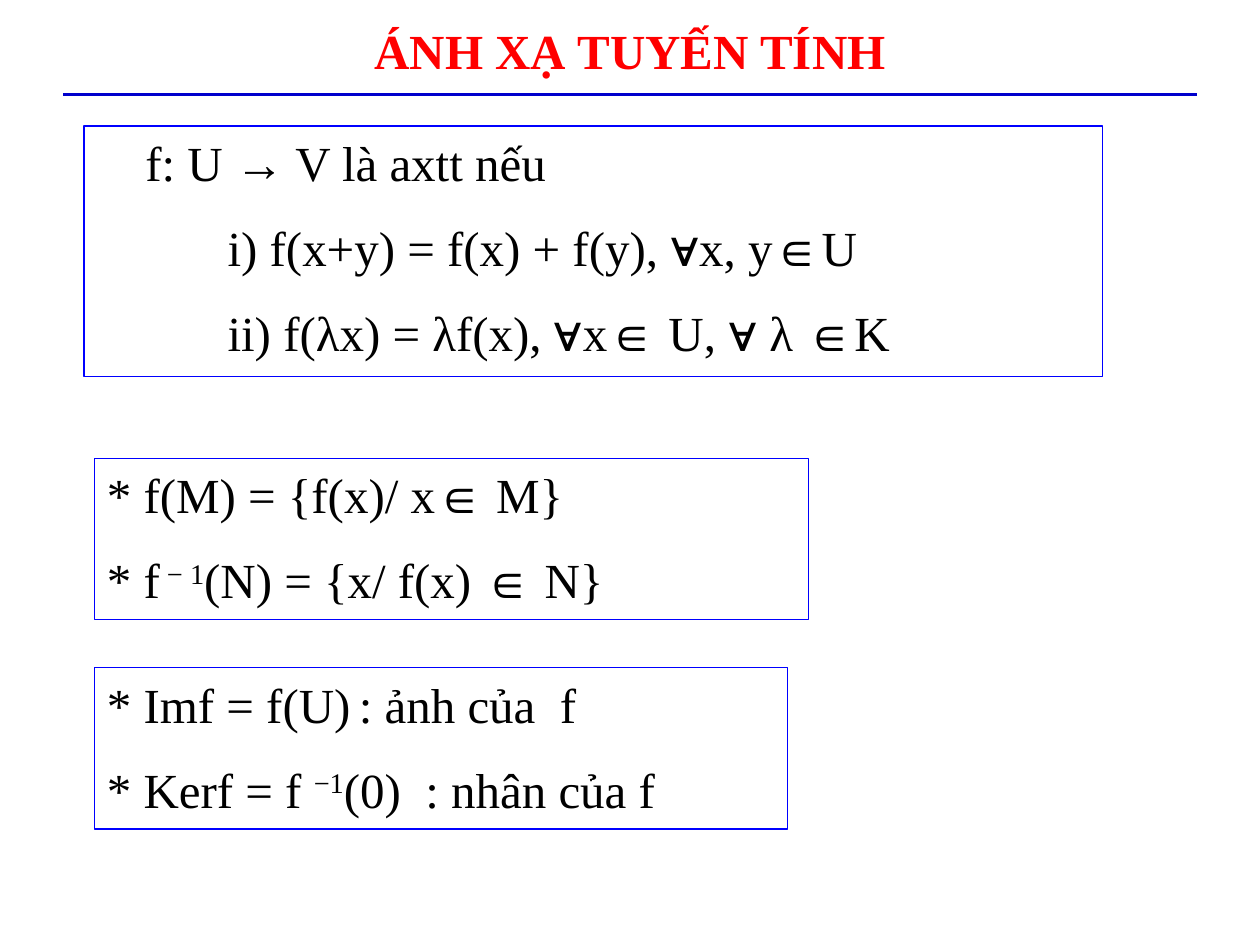
from dataclasses import dataclass

from lxml.etree import SubElement
from pptx import Presentation
from pptx.dml.color import RGBColor
from pptx.enum.shapes import MSO_CONNECTOR, MSO_SHAPE
from pptx.enum.text import MSO_ANCHOR, PP_ALIGN
from pptx.oxml.ns import qn
from pptx.slide import Slide
from pptx.text.text import Font, _Paragraph as Paragraph
from pptx.util import Pt

FACE = "Times New Roman"
TEXT_SIZE = 28
LINE_GAP = 15


@dataclass(frozen=True)
class Line:
    """One formula line; text between ^ marks is superscript."""
    text: str
    indent: float = 0
    tab: float = 0


@dataclass(frozen=True)
class Box:
    left: float
    top: float
    width: float
    height: float
    lines: tuple[Line, ...]


BOXES = (
    Box(48, 72, 582, 143.2, (
        Line("f: U → V là axtt nếu", indent=28),
        Line("i) f(x+y) = f(x) + f(y), ∀x, y∈U", indent=75),
        Line("ii) f(λx) = λf(x), ∀x∈ U, ∀ λ ∈K", indent=75),
    )),
    Box(54, 262, 408, 92.2, (
        Line("* f(M) = {f(x)/ x∈ M}"),
        Line("* f^ − 1^(N) = {x/ f(x) ∈ N}"),
    )),
    Box(54, 381.6, 396, 92.2, (
        Line("* Imf = f(U)\t: ảnh của  f", tab=174),
        Line("* Kerf = f ^−1^(0)  : nhân của f"),
    )),
)


def color(hex_value: str) -> RGBColor:
    return RGBColor.from_string(hex_value)


def style_font(font: Font, hex_value: str, bold: bool = False) -> None:
    font.name = FACE
    font.size = Pt(TEXT_SIZE)
    font.bold = bold
    font.color.rgb = color(hex_value)


def add_title(slide: Slide, text: str) -> None:
    title = slide.shapes.add_textbox(Pt(36), Pt(6), Pt(648), Pt(44.6))
    frame = title.text_frame
    frame.word_wrap = True
    frame.vertical_anchor = MSO_ANCHOR.MIDDLE
    heading = frame.paragraphs[0]
    heading.text = text
    heading.alignment = PP_ALIGN.CENTER
    style_font(heading.font, "FF0000", bold=True)


def add_rule(slide: Slide) -> None:
    rule = slide.shapes.add_connector(
        MSO_CONNECTOR.STRAIGHT, Pt(36), Pt(54), Pt(684), Pt(54))
    rule.line.color.rgb = color("0000CC")
    rule.line.width = Pt(1.5)
    SubElement(rule._element.spPr, qn("a:effectLst"))


def write_line(paragraph: Paragraph, line: Line) -> None:
    paragraph.alignment = PP_ALIGN.LEFT
    paragraph.space_before = Pt(LINE_GAP)
    properties = paragraph._p.get_or_add_pPr()
    properties.set("marL", str(Pt(line.indent)))
    properties.set("indent", "0")
    if line.tab:
        stops = SubElement(properties, qn("a:tabLst"))
        SubElement(stops, qn("a:tab"), pos=str(Pt(line.tab)), algn="l")
    style_font(paragraph.font, "000000")
    for position, part in enumerate(line.text.split("^")):
        run = paragraph.add_run()
        run.text = part
        if position % 2:
            run._r.get_or_add_rPr().set("baseline", "30000")


def add_box(slide: Slide, box: Box) -> None:
    panel = slide.shapes.add_shape(
        MSO_SHAPE.RECTANGLE,
        Pt(box.left), Pt(box.top), Pt(box.width), Pt(box.height))
    panel.shadow.inherit = False
    panel.fill.background()
    panel.line.color.rgb = color("0000FF")
    panel.line.width = Pt(0.75)
    frame = panel.text_frame
    frame.word_wrap = True
    frame.vertical_anchor = MSO_ANCHOR.TOP
    for index, line in enumerate(box.lines):
        paragraph = frame.add_paragraph() if index else frame.paragraphs[0]
        write_line(paragraph, line)


def main() -> None:
    deck = Presentation()
    deck.slide_width, deck.slide_height = Pt(720), Pt(540)
    slide = deck.slides.add_slide(deck.slide_layouts[6])
    add_rule(slide)
    add_title(slide, "ÁNH XẠ TUYẾN TÍNH")
    for box in BOXES:
        add_box(slide, box)
    deck.save("out.pptx")


if __name__ == "__main__":
    main()
